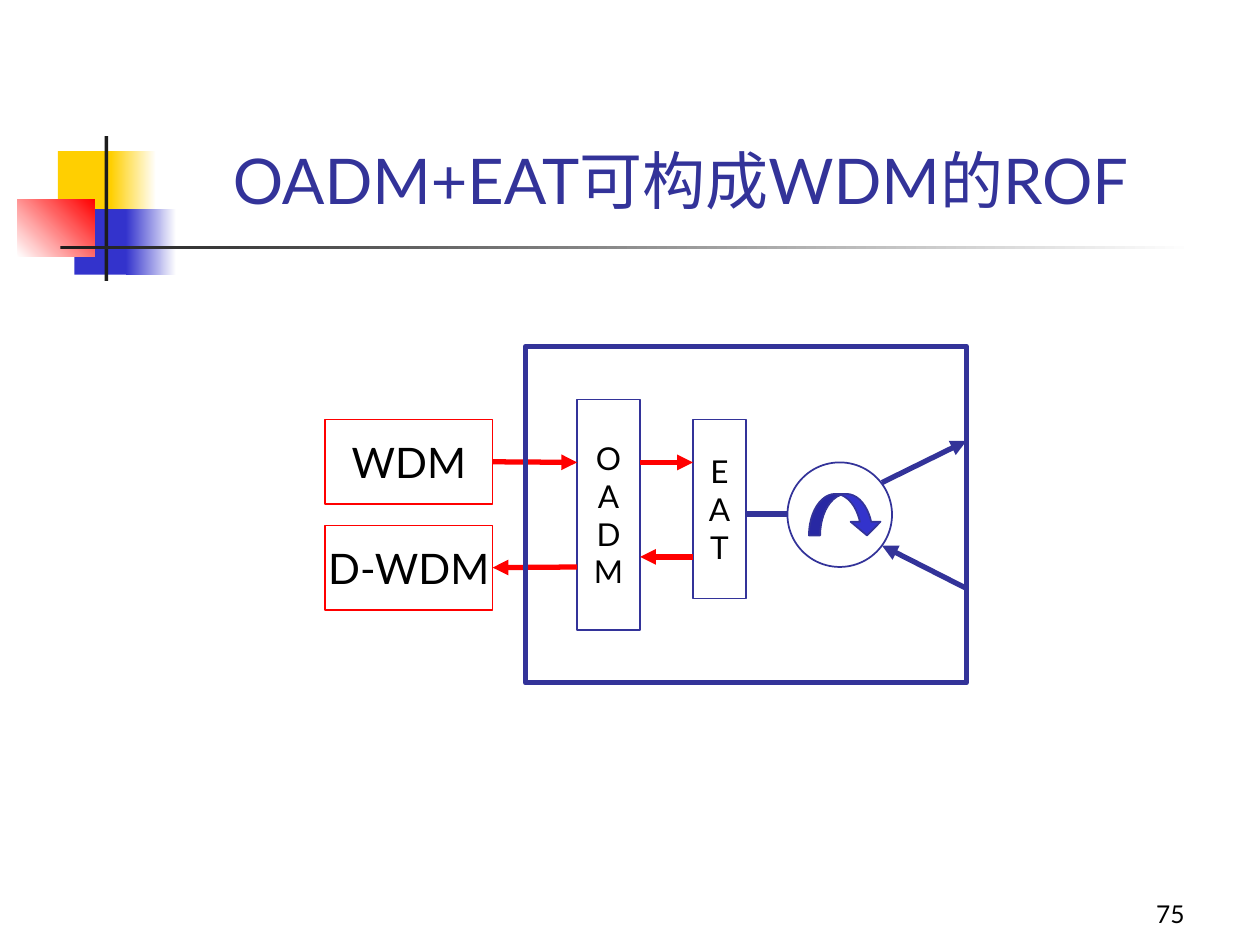
import pptx
import pptx.util
import pptx.dml.color
import pptx.enum.shapes
import pptx.enum.text
import pptx.oxml
import pptx.oxml.ns

Inches = pptx.util.Inches
Pt = pptx.util.Pt
SHAPE = pptx.enum.shapes.MSO_SHAPE
ALIGN = pptx.enum.text.PP_ALIGN
ANCHOR = pptx.enum.text.MSO_ANCHOR

FONT = "Lato"
COLORS = {"yellow": "FFCF01", "blue": "3333CC", "red": "FF0000", "dark": "1C1C1C",
          "navy": "333399", "white": "FFFFFF", "black": "000000"}


def rgb(name):
    return pptx.dml.color.RGBColor.from_string(COLORS[name])


def add_shape(s, kind, box, fill=None, line=None, width=1):
    sp = s.shapes.add_shape(kind, *map(Inches, box))
    sp.shadow.inherit = False
    if fill:
        sp.fill.solid()
        sp.fill.fore_color.rgb = rgb(fill)
    else:
        sp.fill.background()
    if line:
        sp.line.color.rgb = rgb(line)
        sp.line.width = Pt(width)
    else:
        sp.line.fill.background()
    return sp


def add_gradient(s, box, start, end, angle=0):
    sp = add_shape(s, SHAPE.RECTANGLE, box)
    sp.fill.gradient()
    sp.fill.gradient_angle = angle
    for stop, position, color in zip(sp.fill.gradient_stops, (0, 1), (start, end)):
        stop.position = position
        stop.color.rgb = rgb(color)


def write(sp, lines, size, color="black", align=ALIGN.CENTER, anchor=ANCHOR.MIDDLE, wrap=False):
    tf = sp.text_frame
    for name, value in {"word_wrap": wrap, "vertical_anchor": anchor}.items():
        setattr(tf, name, value)
    for i, text in enumerate(lines):
        p = tf.add_paragraph() if i else tf.paragraphs[0]
        p.alignment = align
        r = p.add_run()
        r.text = text
        for name, value in {"name": FONT, "size": Pt(size)}.items():
            setattr(r.font, name, value)
        r.font.color.rgb = rgb(color)


def add_line(s, start, end, color, arrow=True):
    c = s.shapes.add_connector(pptx.enum.shapes.MSO_CONNECTOR.STRAIGHT,
                               *map(Inches, (*start, *end)))
    c.line.color.rgb = rgb(color)
    c.line.width = Pt(3)
    if arrow:
        tail = pptx.oxml.parse_xml(
            f'<a:tailEnd {pptx.oxml.ns.nsdecls("a")} type="triangle"/>')
        c.line._get_or_add_ln().append(tail)
    c._element.spPr.append(
        pptx.oxml.parse_xml(f'<a:effectLst {pptx.oxml.ns.nsdecls("a")}/>'))
    return c


def add_ornament(s, x, y):
    """Coloured squares with the crossing rules beside the title."""
    add_shape(s, SHAPE.RECTANGLE, (x + 0.32, y + 0.12, 0.48, 0.52), "yellow")
    add_gradient(s, (x + 0.74, y + 0.12, 0.36, 0.52), "yellow", "white")
    add_shape(s, SHAPE.RECTANGLE, (x + 0.45, y + 0.58, 0.46, 0.52), "blue")
    add_gradient(s, (x + 0.86, y + 0.58, 0.4, 0.52), "blue", "white")
    add_gradient(s, (x, y + 0.5, 0.61, 0.46), "white", "red", 45)
    add_shape(s, SHAPE.RECTANGLE, (x + 0.69, y, 0.03, 1.15), "dark")
    add_gradient(s, (x + 0.34, y + 0.87, 9, 0.03), "dark", "white")


def add_label(s, box, text, size, color="black", align=ALIGN.CENTER):
    sp = s.shapes.add_textbox(*map(Inches, box))
    write(sp, [text], size, color, align, ANCHOR.BOTTOM, True)


def add_block(s, box, lines, size, line):
    sp = add_shape(s, SHAPE.RECTANGLE, box, line=line)
    write(sp, lines, size)
    return sp


def add_circulator(s, x, y, size):
    add_shape(s, SHAPE.OVAL, (x, y, size, size), line="navy")
    arrow = add_shape(s, SHAPE.CURVED_DOWN_ARROW, (x + 0.17, y + 0.25, 0.58, 0.33),
                      "blue", "navy")
    for i, value in enumerate((0.27, 0.72, 0.33)):
        arrow.adjustments[i] = value


def add_diagram(s, x, y):
    wdm, dwdm = [add_block(s, (x, y + top, 1.33, 0.67), [text], 24, "red")
                 for text, top in (("WDM", 0.58), ("D-WDM", 1.42))]
    add_block(s, (x + 2, y + 0.42, 0.5, 1.83), "OADM", 18, "navy")
    add_block(s, (x + 2.92, y + 0.58, 0.42, 1.42), "EAT", 18, "navy")
    add_circulator(s, x + 3.67, y + 0.92, 0.83)

    lines = [add_line(s, (x + x1, y + y1), (x + x2, y + y2), color, arrow)
             for x1, y1, x2, y2, color, arrow in (
                 (1.33, 0.92, 2, 0.92, "red", True),
                 (2, 1.75, 1.33, 1.75, "red", True),
                 (2.5, 0.92, 2.92, 0.92, "red", True),
                 (2.92, 1.67, 2.5, 1.67, "red", True),
                 (3.34, 1.33, 3.67, 1.33, "navy", False),
                 (4.42, 1.08, 5.09, 0.75, "navy", True),
                 (5.09, 1.92, 4.42, 1.58, "navy", True))]
    lines[0].begin_connect(wdm, 3)
    lines[1].end_connect(dwdm, 3)
    add_shape(s, SHAPE.RECTANGLE, (x + 1.59, y, 3.5, 2.67), line="navy", width=3)


def main():
    prs = pptx.Presentation()
    prs.slide_width, prs.slide_height = Inches(10), Inches(7.5)
    s = prs.slides.add_slide(prs.slide_layouts[6])
    add_ornament(s, 0.14, 1.08)
    add_label(s, (7.42, 6.92, 2.08, 0.5), "75", 14, align=ALIGN.RIGHT)
    add_label(s, (1.14, 0.52, 8.52, 1.25), "OADM+EAT可构成WDM的ROF", 36, "navy")
    add_diagram(s, 2.58, 2.75)
    prs.save("out.pptx")


if __name__ == "__main__":
    main()
